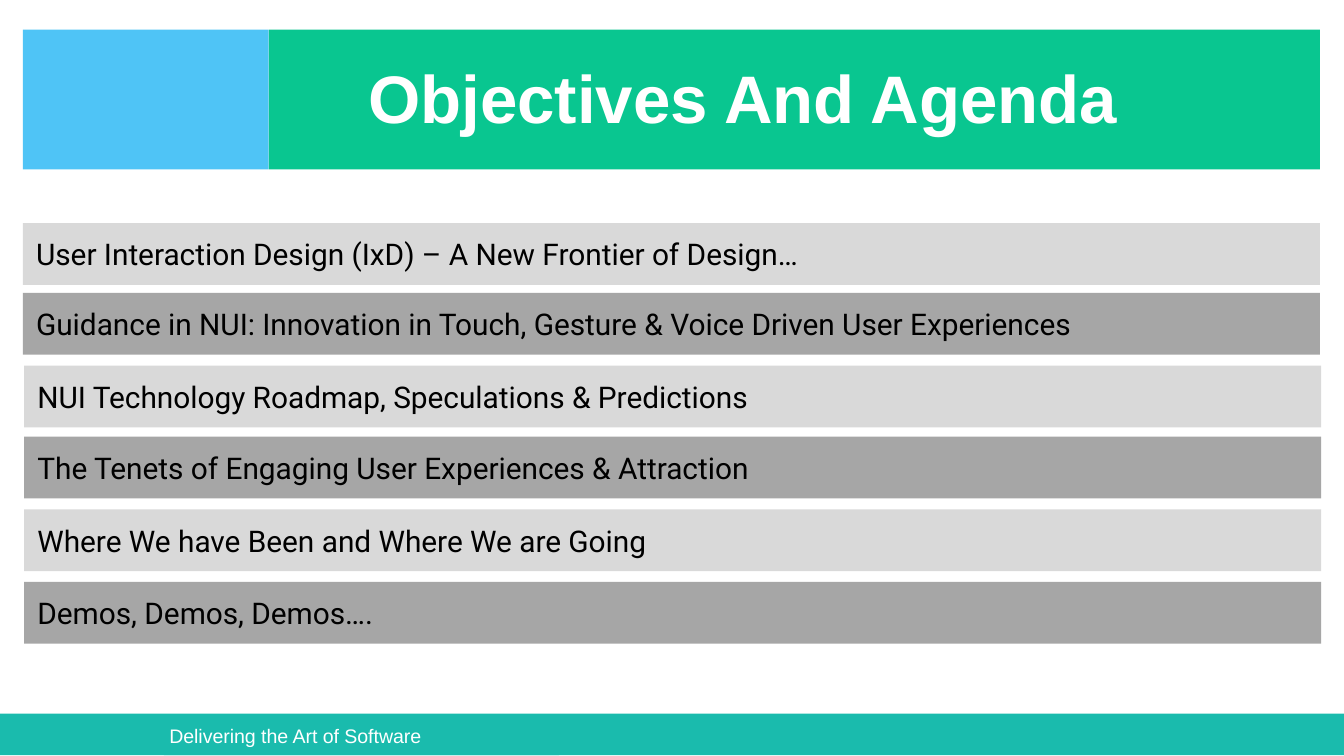
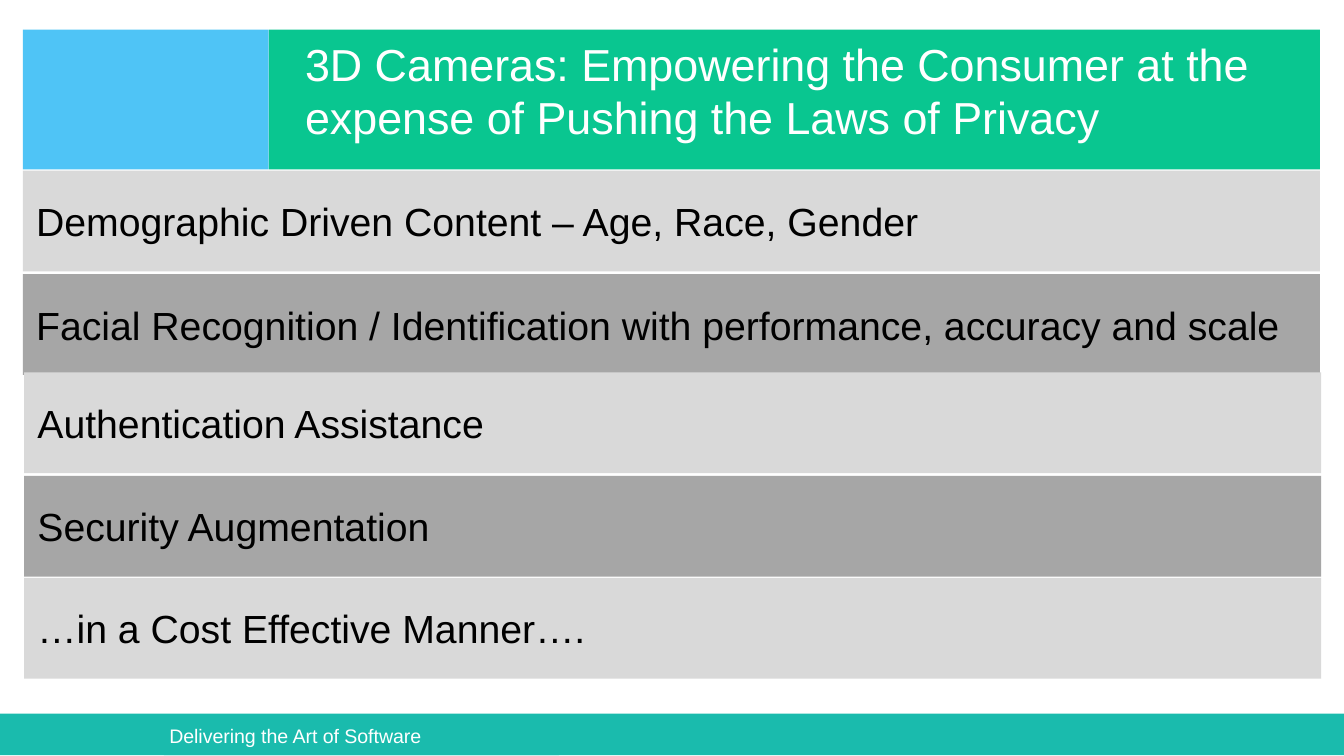
from dataclasses import dataclass

from pptx import Presentation
from pptx.dml.color import RGBColor
from pptx.enum import shapes, text
from pptx.util import Inches, Pt

# Content
FOOTER = "Delivering the Art of Software"
SLIDES = [
    dict(
        title="Objectives And Agenda",
        title_box=(2.64, 0.37, 6.42, 0.57), title_size=36, title_bold=True,
        rows=[
            "User Interaction Design (IxD) – A New Frontier of Design…",
            "Guidance in NUI: Innovation in Touch, Gesture & Voice Driven User Experiences",
            "NUI Technology Roadmap, Speculations & Predictions",
            "The Tenets of Engaging User Experiences & Attraction",
            "Where We have Been and Where We are Going",
            "Demos, Demos, Demos….",
        ],
        tops=[1.66, 2.18, 2.72, 3.25, 3.79, 4.33], row_height=0.46,
        row_font="Roboto", row_size=16,
    ),
    dict(
        title="3D Cameras: Empowering the Consumer at the expense of "
              "Pushing the Laws of Privacy",
        title_box=(2.17, 0.22, 7.65, 1.05), title_size=24, title_bold=False,
        rows=[
            "Demographic Driven Content – Age, Race, Gender",
            "Facial Recognition / Identification with performance, accuracy and scale",
            "Authentication Assistance",
            "Security Augmentation",
            "…in a Cost Effective Manner….",
        ],
        tops=[1.27, 2.04, 2.77, 3.54, 4.3], row_height=0.75,
        row_font="Arial", row_size=21,
    ),
]


# Theme
@dataclass(frozen=True)
class Theme:
    blue: str = "4FC4F6"
    green: str = "09C690"
    teal: str = "1ABBAD"
    light: str = "D9D9D9"
    dark: str = "A6A6A6"
    black: str = "000000"
    white: str = "FFFFFF"
    font: str = "Arial"
    footer_size: float = 10.5


THEME = Theme()
SLIDE_WIDTH = Inches(10)
SLIDE_HEIGHT = SLIDE_WIDTH * 9 // 16
ROW_WIDTH = 9.65
BANDS = [
    ((0.17, 0.22, 1.83, 1.04), THEME.blue),
    ((2, 0.22, 7.82, 1.04), THEME.green),
    ((-0.2, 5.31, 10.21, 0.31), THEME.teal),
]
FOOTER_BOX = (1.22, 5.35, 2.94, 0.27)


def add_rect(s, box, fill):
    sp = s.shapes.add_shape(shapes.MSO_SHAPE.RECTANGLE, *map(Inches, box))
    sp.shadow.inherit = False
    sp.fill.solid()
    sp.fill.fore_color.rgb = RGBColor.from_string(fill)
    sp.line.fill.background()
    return sp


def write(sp, words, font, size, color, anchor, bold=False):
    tf = sp.text_frame
    tf.text = words
    tf.word_wrap = True
    tf.auto_size = text.MSO_AUTO_SIZE.NONE
    tf.vertical_anchor = anchor
    p = tf.paragraphs[0]
    p.alignment = text.PP_ALIGN.LEFT
    p.font.name, p.font.size, p.font.bold = font, Pt(size), bold
    p.font.color.rgb = RGBColor.from_string(color)
    return tf


def move_to_layout(parts, layout):
    """Place shared parts on the layout, behind its placeholders."""
    tree = layout.shapes._spTree
    for i, sp in enumerate(parts):
        sp._element.nvSpPr.cNvPr.set("id", str(100 + i))
        tree.insert(2 + i, sp._element)


def add_shared_parts(s):
    parts = [add_rect(s, box, fill) for box, fill in BANDS]
    footer = add_rect(s, FOOTER_BOX, THEME.teal)
    tf = write(footer, FOOTER, THEME.font, THEME.footer_size, THEME.white,
               text.MSO_ANCHOR.TOP)
    tf.margin_left = tf.margin_right = Inches(0.04)
    tf.margin_top = tf.margin_bottom = Inches(0.04)
    move_to_layout(parts + [footer], s.slide_layout)


def add_title(s, item):
    sp = s.shapes.title
    sp.left, sp.top, sp.width, sp.height = map(Inches, item["title_box"])
    write(sp, item["title"], THEME.font, item["title_size"], THEME.white,
          text.MSO_ANCHOR.TOP, item["title_bold"])


def add_rows(s, item):
    for i, (words, top) in enumerate(zip(item["rows"], item["tops"])):
        left = 0.17 if i < 2 else 0.18
        box = (left, top, ROW_WIDTH, item["row_height"])
        sp = add_rect(s, box, THEME.dark if i % 2 else THEME.light)
        write(sp, words, item["row_font"], item["row_size"], THEME.black,
              text.MSO_ANCHOR.MIDDLE)


def main():
    prs = Presentation()
    prs.slide_width, prs.slide_height = SLIDE_WIDTH, SLIDE_HEIGHT
    layout = prs.slide_layouts.get_by_name("Title Only")
    for i, item in enumerate(SLIDES):
        s = prs.slides.add_slide(layout)
        if i == 0:
            add_shared_parts(s)
        add_title(s, item)
        add_rows(s, item)
    prs.save("out.pptx")


if __name__ == "__main__":
    main()
